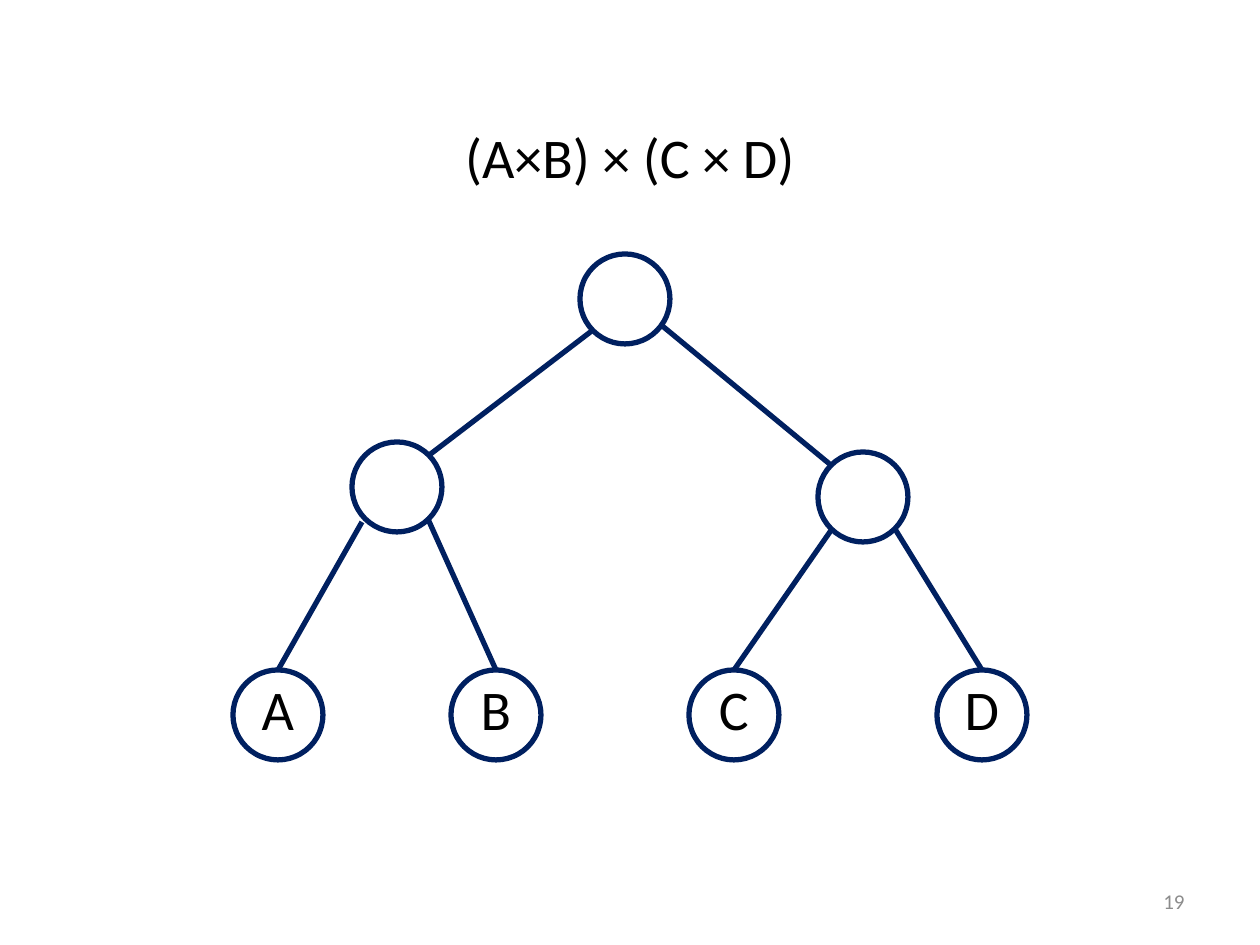
from dataclasses import dataclass

from lxml.etree import SubElement
from pptx import Presentation
from pptx.dml.color import RGBColor
from pptx.enum.shapes import MSO_CONNECTOR as Conn, MSO_SHAPE as Shape
from pptx.enum.text import MSO_ANCHOR as Anchor, PP_ALIGN as Align
from pptx.oxml.ns import qn
from pptx.slide import Slide
from pptx.text.text import TextFrame
from pptx.util import Emu, Pt

NAVY = RGBColor(0x00, 0x20, 0x60)
BLACK = RGBColor(0x00, 0x00, 0x00)
GREY = RGBColor(0x8C, 0x8C, 0x8C)
FONT = "Calibri"
DIAMETER = 90
LINE_WIDTH = Pt(3)


@dataclass
class Node:
    left: int
    top: int
    label: str = ""


@dataclass
class Edge:
    x1: int
    y1: int
    x2: int
    y2: int


NODES = [
    Node(580, 254),
    Node(352, 442),
    Node(818, 452),
    Node(233, 670, "A"),
    Node(451, 670, "B"),
    Node(689, 670, "C"),
    Node(937, 670, "D"),
]
EDGES = [
    Edge(593, 330, 428, 456),
    Edge(660, 324, 832, 466),
    Edge(362, 522, 278, 670),
    Edge(428, 519, 496, 670),
    Edge(832, 529, 734, 670),
    Edge(895, 529, 982, 670),
]


def px(n: int) -> Emu:
    return Emu(round(n * 914400 / 126))


def write(tf: TextFrame, text: str, size: int, color: RGBColor, align: Align) -> None:
    p = tf.paragraphs[0]
    p.text = text
    p.alignment = align
    p.font.name = FONT
    p.font.size = Pt(size)
    p.font.color.rgb = color


def add_formula(s: Slide, text: str) -> None:
    body = s.placeholders[1]
    body.left, body.top, body.width, body.height = px(63), px(116), px(1134), px(100)
    tf = body.text_frame
    tf.vertical_anchor = Anchor.TOP
    write(tf, text, 32, BLACK, Align.CENTER)
    pPr = tf.paragraphs[0]._p.get_or_add_pPr()
    pPr.set("marL", "0")
    pPr.set("indent", "0")
    pPr.insert_element_before(pPr.makeelement(qn("a:buNone")), "a:tabLst", "a:defRPr", "a:extLst")


def add_node(s: Slide, node: Node) -> None:
    sp = s.shapes.add_shape(Shape.OVAL, px(node.left), px(node.top), px(DIAMETER), px(DIAMETER))
    sp.shadow.inherit = False
    sp.fill.background()
    sp.line.color.rgb = NAVY
    sp.line.width = LINE_WIDTH
    if node.label:
        tf = sp.text_frame
        tf.word_wrap = False
        tf.margin_left = tf.margin_right = tf.margin_top = 0
        tf.margin_bottom = px(14)
        tf.vertical_anchor = Anchor.MIDDLE
        write(tf, node.label, 32, BLACK, Align.CENTER)


def add_edge(s: Slide, edge: Edge) -> None:
    line = s.shapes.add_connector(Conn.STRAIGHT, px(edge.x1), px(edge.y1), px(edge.x2), px(edge.y2))
    line.line.color.rgb = NAVY
    line.line.width = LINE_WIDTH
    SubElement(line._element.spPr, qn("a:effectLst"))


def add_page_number(s: Slide, text: str) -> None:
    tf = s.shapes.add_textbox(px(903), px(876), px(294), px(50)).text_frame
    tf.word_wrap = True
    tf.vertical_anchor = Anchor.MIDDLE
    write(tf, text, 12, GREY, Align.RIGHT)


def main() -> None:
    prs = Presentation()
    prs.slide_width, prs.slide_height = px(1260), px(945)
    s = prs.slides.add_slide(prs.slide_layouts[1])
    title = s.shapes.title._element
    title.getparent().remove(title)
    add_formula(s, "(А×В) × (С × D)")
    add_page_number(s, "19")
    for node in NODES:
        add_node(s, node)
    for edge in EDGES:
        add_edge(s, edge)
    prs.save("out.pptx")


if __name__ == "__main__":
    main()
